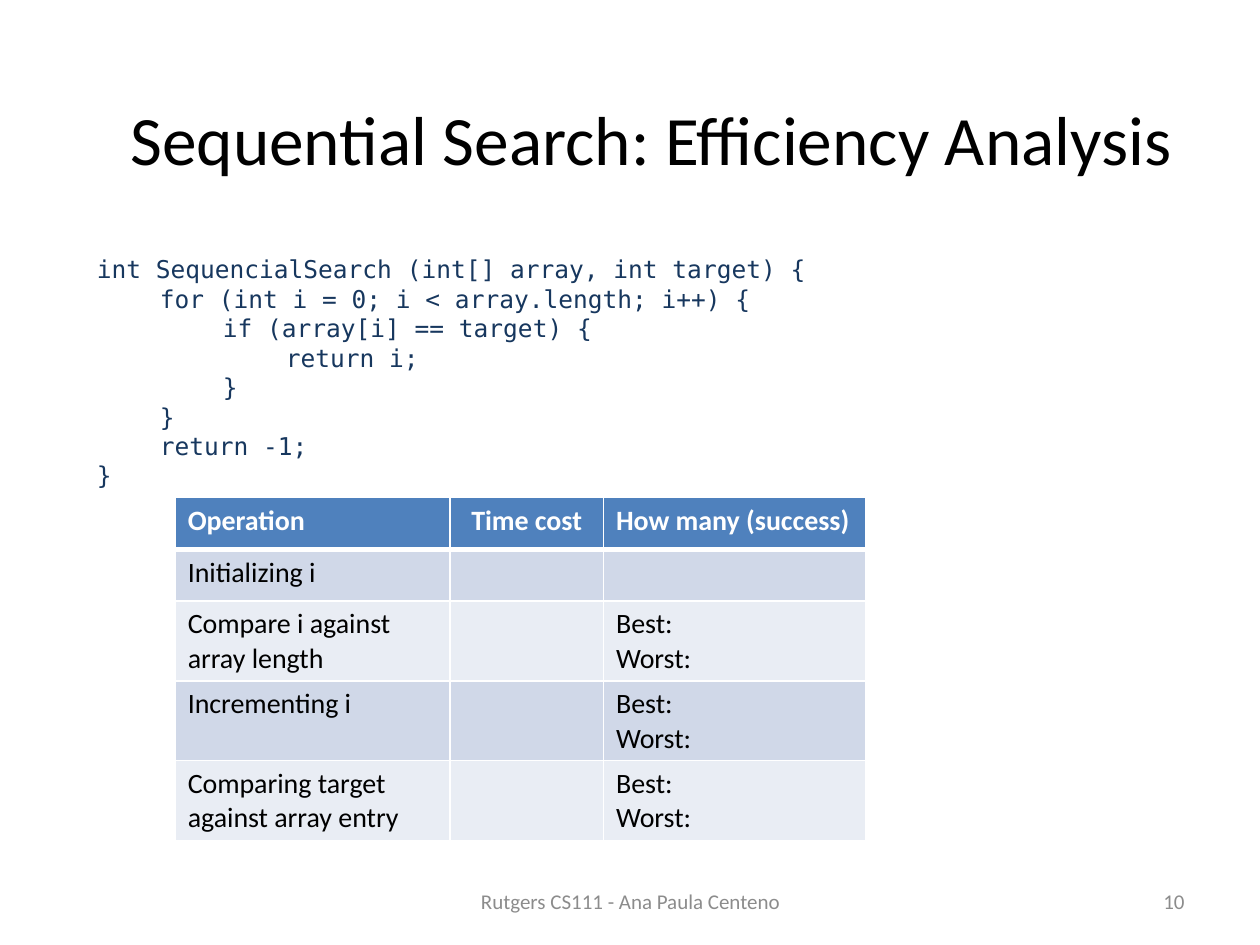
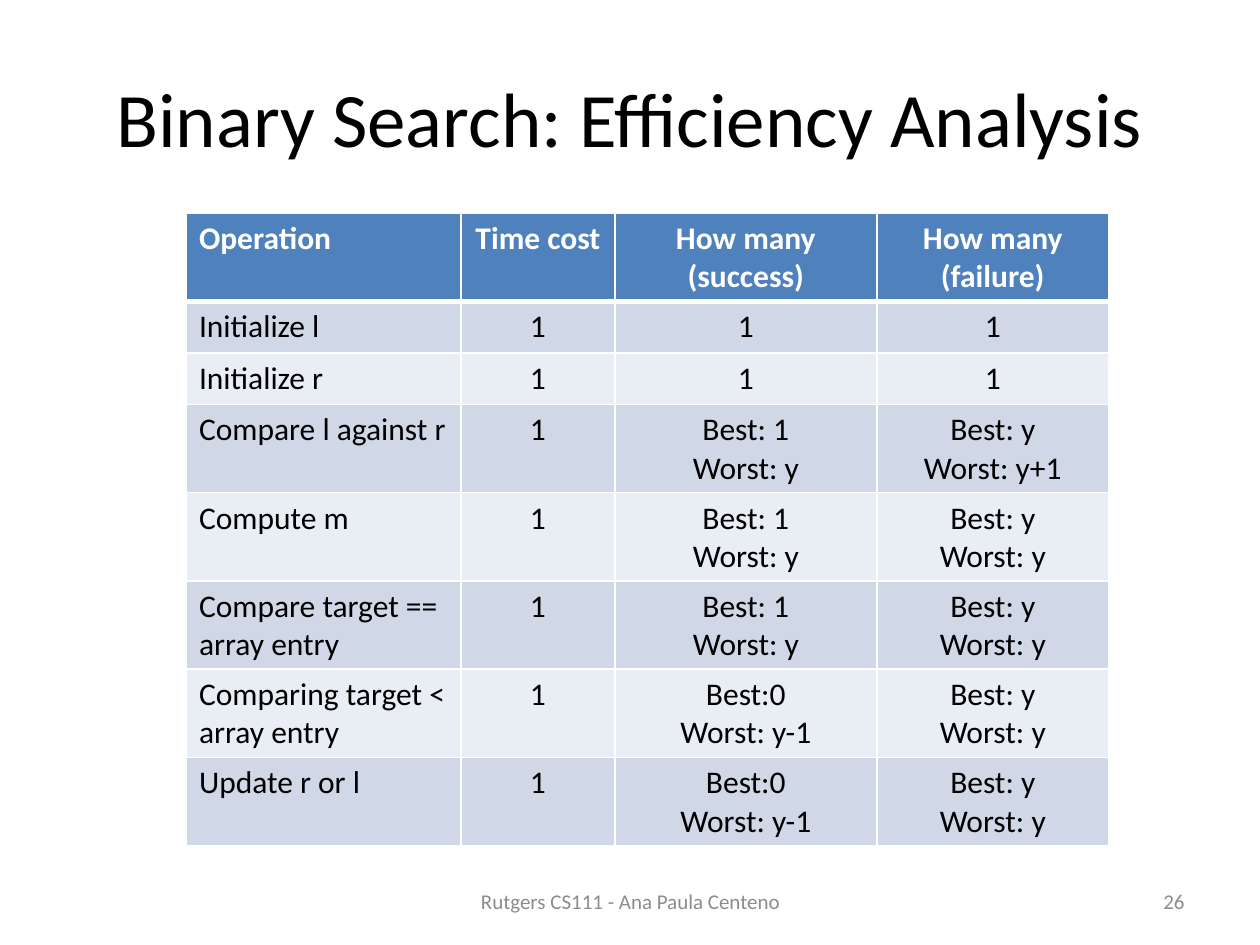
from lxml.etree import SubElement
from pptx import Presentation
from pptx.dml.color import RGBColor
from pptx.enum.text import MSO_ANCHOR as Anchor, MSO_AUTO_SIZE as Fit, PP_ALIGN as Align
from pptx.oxml.ns import qn
from pptx.util import Inches, Pt

BLACK, WHITE, GREY, NAVY, BLUE = "000000", "FFFFFF", "8C8C8C", "17375E", "4F81BD"
BANDS = ["E9EDF4", "D0D8E8"]
SANS, MONO = "Calibri", "DejaVu Sans Mono"
FOOTER = "Rutgers CS111 - Ana Paula Centeno"
WIDTHS = [2.18, 1.22, 2.08, 1.84]
ROW = 0.41

CODE = """int SequencialSearch (int[] array, int target) {
	for (int i = 0; i < array.length; i++) {
		if (array[i] == target) {
			return i;
		}
	}
	return -1;
}"""

BLANK = "Best:\nWorst:"
SEQ_ROWS = [
    ["Operation", "Time cost", "How many (success)"],
    ["Initializing i", "", ""],
    ["Compare i against array length", "", BLANK],
    ["Incrementing i", "", BLANK],
    ["Comparing target against array entry", "", BLANK],
]

ONCE, FULL, LESS = "Best: 1\nWorst: y", "Best: y\nWorst: y", "Best:0\nWorst: y-1"
BIN_ROWS = [
    ["Operation", "Time cost", "How many (success)", "How many (failure)"],
    ["Initialize l", "1", "1", "1"],
    ["Initialize r", "1", "1", "1"],
    ["Compare l against r", "1", ONCE, "Best: y\nWorst: y+1"],
    ["Compute m", "1", ONCE, FULL],
    ["Compare target == array entry", "1", ONCE, FULL],
    ["Comparing target < array entry", "1", LESS, FULL],
    ["Update r or l", "1", LESS, FULL],
]


def color(code):
    return RGBColor.from_string(code)


def write(frame, text, size, ink, align=Align.LEFT, name=SANS, bold=False):
    """Fill a text frame, one paragraph for each line."""
    frame.text = text
    style = {"size": Pt(size), "name": name, "bold": bold}
    for para in frame.paragraphs:
        para.alignment = align
        for key, value in style.items():
            setattr(para.font, key, value)
        para.font.color.rgb = color(ink)


def add_text(slide, box, text, size, ink, **style):
    frame = slide.shapes.add_textbox(*map(Inches, box)).text_frame
    frame.word_wrap = True
    write(frame, text, size, ink, **style)
    return frame


def add_code(slide, box, text):
    frame = add_text(slide, box, text, 14, NAVY, name=MONO)
    frame.word_wrap = False
    frame.auto_size = Fit.SHAPE_TO_FIT_TEXT


def add_slide(deck, title, number, left, top, size):
    """Add a slide with its title, footer and number."""
    slide = deck.slides.add_slide(deck.slide_layouts[5])
    head = slide.shapes.title
    place = {"left": left, "top": top, "width": 9, "height": 1.25}
    for key, value in place.items():
        setattr(head, key, Inches(value))
    write(head.text_frame, title, size, BLACK, Align.CENTER)
    head.text_frame.auto_size = Fit.NONE
    head.text_frame.vertical_anchor = Anchor.MIDDLE
    for x, width, text, align in [(3.42, 3.17, FOOTER, Align.CENTER),
                                  (7.17, 2.33, number, Align.RIGHT)]:
        frame = add_text(slide, (x, 6.95, width, 0.4), text, 12, GREY, align=align)
        frame.vertical_anchor = Anchor.MIDDLE
    return slide


def add_edges(cell, top, bottom):
    """Draw white cell borders; top and bottom are widths in points."""
    props = cell._tc.get_or_add_tcPr()
    for tag, width in [("lnL", 1), ("lnR", 1), ("lnT", top), ("lnB", bottom)]:
        line = SubElement(props, qn(f"a:{tag}"), w=str(Pt(width)))
        fill = SubElement(line, qn("a:solidFill"))
        SubElement(fill, qn("a:srgbClr"), val=WHITE)


def add_costs(slide, left, top, rows, size, aligns):
    """Add a cost table with a blue header and banded rows."""
    widths = WIDTHS[:len(rows[0])]
    box = left, top, sum(widths), ROW * len(rows)
    table = slide.shapes.add_table(len(rows), len(widths), *map(Inches, box)).table
    for col, width in zip(table.columns, widths):
        col.width = Inches(width)
    for r, row in enumerate(rows):
        table.rows[r].height = Inches(ROW)
        head = r == 0
        for c, text in enumerate(row):
            cell = table.cell(r, c)
            write(cell.text_frame, text, size, WHITE if head else BLACK,
                  aligns[c], bold=head)
            add_edges(cell, 3 if r == 1 else 1, 3 if head else 1)
            cell.fill.solid()
            cell.fill.fore_color.rgb = color(BLUE if head else BANDS[r % 2])


def main():
    deck = Presentation()
    deck.slide_width, deck.slide_height = Inches(10), Inches(7.5)

    slide = add_slide(deck, "Sequential Search: Efficiency Analysis", "10", 0.67, 0.47, 39.6)
    add_code(slide, (0.67, 1.97, 5.84, 1.99), CODE)
    add_costs(slide, 1.39, 3.95, SEQ_ROWS, 16, [Align.LEFT, Align.CENTER, Align.LEFT])

    slide = add_slide(deck, "Binary Search: Efficiency Analysis", "26", 0.5, 0.3, 44)
    add_costs(slide, 1.48, 1.69, BIN_ROWS, 18, [Align.LEFT] + [Align.CENTER] * 3)

    deck.save("out.pptx")


if __name__ == "__main__":
    main()
